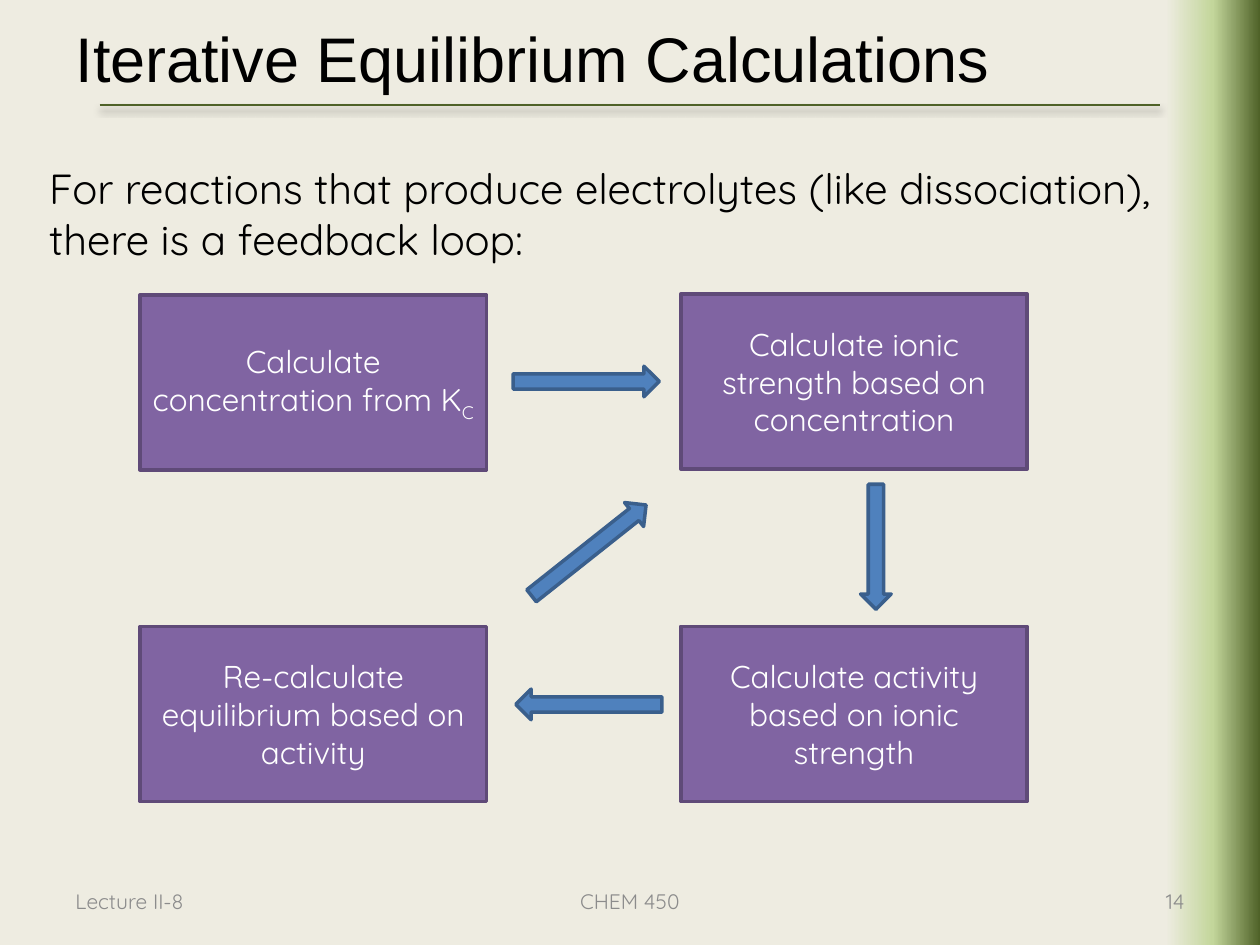
from dataclasses import dataclass

from lxml import etree
from pptx import Presentation
from pptx.dml.color import RGBColor
from pptx.enum import shapes as sh, text as tx
from pptx.oxml import parse_xml
from pptx.oxml.ns import qn
from pptx.util import Pt

NS = 'xmlns:a="http://schemas.openxmlformats.org/drawingml/2006/main"'
ALIGN = tx.PP_ALIGN
MID = tx.MSO_ANCHOR.MIDDLE


@dataclass(frozen=True)
class Theme:
    back: str = "EEECE1"
    dark: str = "4F6228"
    light: str = "C3D69B"
    ink: str = "000000"
    grey: str = "8C8C8C"
    white: str = "FFFFFF"
    box: str = "8064A2"
    rim: str = "5F4A78"
    arrow: str = "4F81BD"
    edge: str = "3A5F8C"
    head: str = "Arial"
    font: str = "Quicksand"
    title: int = 36
    body: int = 24
    step: int = 18
    foot: int = 12


T = Theme()


def rgb(code):
    return RGBColor.from_string(code)


def style(par, size, color, align=ALIGN.LEFT, face=T.font):
    par.alignment = align
    par.font.size = Pt(size)
    par.font.name = face
    par.font.color.rgb = rgb(color)


def shadow(blur, dist, alpha):
    return parse_xml(
        f'<a:effectLst {NS}><a:outerShdw blurRad="{Pt(blur)}" dist="{Pt(dist)}" '
        f'dir="5400000" rotWithShape="0"><a:srgbClr val="000000">'
        f'<a:alpha val="{alpha * 1000}"/></a:srgbClr></a:outerShdw></a:effectLst>')


def place(shape, box):
    shape.left, shape.top, shape.width, shape.height = (Pt(v) for v in box)


def solid(slide, kind, box, fill, line):
    shape = slide.shapes.add_shape(kind, *(Pt(v) for v in box))
    shape.shadow.inherit = False
    shape.fill.solid()
    shape.fill.fore_color.rgb = rgb(fill)
    shape.line.color.rgb = rgb(line)
    shape.line.width = Pt(2)
    return shape


def label(slide, box, words, size, color, align=ALIGN.LEFT, anchor=MID):
    frame = slide.shapes.add_textbox(*(Pt(v) for v in box)).text_frame
    frame.word_wrap = True
    frame.vertical_anchor = anchor
    par = frame.paragraphs[0]
    par.text = words
    style(par, size, color, align)
    return frame


# Gradient band along the right edge
def add_band(slide, box):
    band = solid(slide, sh.MSO_SHAPE.RECTANGLE, box, T.dark, T.dark)
    band.line.fill.background()
    stops = "".join(
        f'<a:gs pos="{pos * 1000}"><a:srgbClr val="{code}"/></a:gs>'
        for pos, code in ((0, T.dark), (50, T.light), (100, T.back)))
    props = band._element.spPr
    props.replace(props.find(qn("a:solidFill")), parse_xml(
        f'<a:gradFill {NS} rotWithShape="1"><a:gsLst>{stops}</a:gsLst>'
        f'<a:lin ang="10800000" scaled="0"/></a:gradFill>'))


# Title with the rule below it
def add_title(slide, box):
    left, top, width, height = box
    rule = slide.shapes.add_connector(
        sh.MSO_CONNECTOR.STRAIGHT, Pt(left + 21), Pt(top + 72),
        Pt(left + width - 21), Pt(top + 72))
    rule.line.color.rgb = rgb(T.dark)
    rule.line.width = Pt(0.75)
    rule._element.spPr.append(shadow(4, 3, 40))

    title = slide.shapes.title
    place(title, box)
    title.text_frame.vertical_anchor = MID
    par = title.text_frame.paragraphs[0]
    run = par.add_run()
    run.text = "Iterative Equilibrium Calculations"
    style(par, T.title, T.ink, face=T.head)
    run._r.get_or_add_rPr().append(shadow(4, 3, 40))


# Lead-in sentence
def add_lead(slide, box):
    frame = label(slide, box,
                  "For reactions that produce electrolytes (like dissociation), "
                  "there is a feedback loop:",
                  T.body, T.ink, anchor=tx.MSO_ANCHOR.TOP)
    frame.auto_size = tx.MSO_AUTO_SIZE.SHAPE_TO_FIT_TEXT
    frame.paragraphs[0].space_after = Pt(12)


def add_step(slide, box, words, sub=""):
    step = solid(slide, sh.MSO_SHAPE.RECTANGLE, box, T.box, T.rim)
    frame = step.text_frame
    frame.word_wrap = True
    frame.vertical_anchor = MID
    par = frame.paragraphs[0]
    par.text = words
    style(par, T.step, T.white, ALIGN.CENTER)
    if sub:
        run = par.add_run()
        run.text = sub
        run._r.get_or_add_rPr().set("baseline", "-25000")


# Four steps in a two by two grid, with block arrows between them
def add_loop(slide, box):
    left, top, width, height = box
    wide, high = 198, 100
    right, low = left + width - wide, top + height - high
    steps = ((left, top + 0.5, "Calculate concentration from K", "C"),
             (right, top, "Calculate ionic strength based on concentration", ""),
             (right, low, "Calculate activity based on ionic strength", ""),
             (left, low, "Re-calculate equilibrium based on activity", ""))
    for x, y, words, sub in steps:
        add_step(slide, (x, y, wide, high), words, sub)

    # Centre from the grid's corner, length, turn
    thick = 17.5
    arrows = ((255, 50, 83.5, 0), (420.5, 144.5, 71.5, 90),
              (256.5, 234.5, 83.5, 180), (256.5, 146.5, 83.5, 321.6))
    for x, y, size, turn in arrows:
        spot = (left + x - size / 2, top + y - thick / 2, size, thick)
        arrow = solid(slide, sh.MSO_SHAPE.RIGHT_ARROW, spot, T.arrow, T.edge)
        arrow.rotation = turn


# Footer: lecture, course, page
def add_foot(slide, box):
    left, top, width, height = box
    side, mid = 168, 228
    parts = ((left, side, "Lecture II-8", ALIGN.LEFT),
             (left + (width - mid) / 2, mid, "CHEM 450", ALIGN.CENTER),
             (left + width - side, side, "14", ALIGN.RIGHT))
    for x, wide, words, align in parts:
        label(slide, (x, top, wide, height), words, T.foot, T.grey, align)


def main():
    deck = Presentation()
    deck.slide_width, deck.slide_height = Pt(720), Pt(540)
    slide = deck.slides.add_slide(deck.slide_layouts[5])
    slide.background.fill.solid()
    slide.background.fill.fore_color.rgb = rgb(T.back)

    add_band(slide, (666, 0, 54, 540))
    add_title(slide, (36, -12, 648, 90))
    add_foot(slide, (36, 500.5, 648, 28.75))
    add_lead(slide, (21, 89.5, 699, 65.5))
    add_loop(slide, (80, 168, 507, 290))
    deck.save("out.pptx")


if __name__ == "__main__":
    main()
